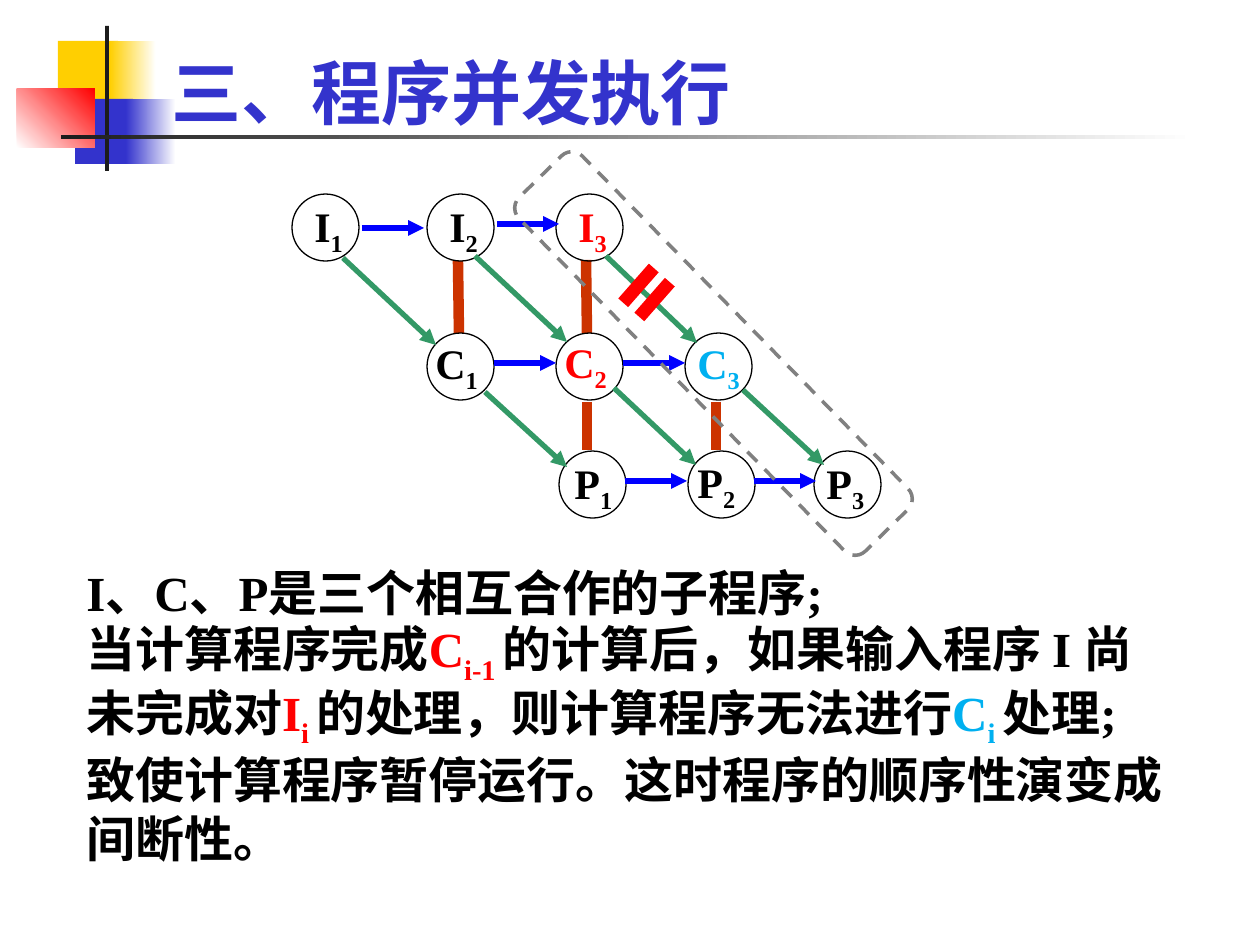
from lxml import etree
from pptx import Presentation
from pptx import util as u
from pptx.dml.color import RGBColor
from pptx.enum import dml, shapes, text
from pptx.oxml import ns

PX = 914400 / 126
CJK, SERIF = "Noto Sans CJK SC", "Times New Roman"
BLACK, RED, CYAN, YELLOW, INDIGO = "000000", "FF0000", "00B0F0", "FFCF01", "3333CC"
BLUE, GREEN, RUST, INK, WHITE = "0000FF", "339966", "CC3300", "1C1C1C", "FFFFFF"
DIAMETER = 67

# Label, colour, circle left and top, label offset from the circle
NODES = [
    ("I1", BLACK, 292, 194, 10, 0),
    ("I2", BLACK, 427, 194, 10, 0),
    ("I3", RED, 556, 194, 10, 0),
    ("C1", BLACK, 427, 333, -4, -2),
    ("C2", RED, 556, 333, -4, -3),
    ("C3", CYAN, 685, 333, 0, -2),
    ("P1", BLACK, 559, 451, 3, 0),
    ("P2", BLACK, 688, 451, -3, -1),
    ("P3", BLACK, 814, 451, 0, 0),
]
# Start of each horizontal arrow; all have one length
NEXT_ARROWS = [(362, 228), (497, 224), (494, 363), (623, 363), (625, 481), (754, 481)]
NEXT_LENGTH = 62
STAGE_ARROWS = [
    (343, 258, 436, 345), (475, 256, 567, 342), (606, 256, 697, 343),
    (485, 392, 567, 467), (614, 388, 696, 465), (743, 390, 824, 465),
]
WAIT_BARS = [(458, 261, 459, 333), (586, 260, 587, 333),
             (587, 402, 587, 450), (716, 402, 716, 450)]


def px(length):
    return u.Emu(round(length * PX))


def rgb(value):
    return RGBColor.from_string(value)


def add_shape(page, kind, left, top, width, height, fill=None, line=None, weight=1.0):
    shape = page.shapes.add_shape(kind, px(left), px(top), px(width), px(height))
    shape.shadow.inherit = False
    if fill:
        shape.fill.solid()
        shape.fill.fore_color.rgb = rgb(fill)
    else:
        shape.fill.background()
    if line:
        shape.line.color.rgb = rgb(line)
        shape.line.width = u.Pt(weight)
    else:
        shape.line.fill.background()
    return shape


def add_fade(page, left, top, width, height, start, end, angle=0):
    shape = add_shape(page, shapes.MSO_SHAPE.RECTANGLE, left, top, width, height)
    shape.fill.gradient()
    shape.fill.gradient_angle = angle
    for stop, color, position in zip(shape.fill.gradient_stops, (start, end), (0, 1)):
        stop.color.rgb = rgb(color)
        stop.position = position


def add_line(page, x1, y1, x2, y2, color, weight, arrow=False):
    line = page.shapes.add_connector(shapes.MSO_CONNECTOR.STRAIGHT,
                                     px(x1), px(y1), px(x2), px(y2))
    line.line.color.rgb = rgb(color)
    line.line.width = u.Pt(weight)
    if arrow:
        outline = line.line._get_or_add_ln()
        etree.SubElement(outline, ns.qn("a:tailEnd"), type="triangle")
    etree.SubElement(line._element.spPr, ns.qn("a:effectLst"))


def add_box(page, left, top, width, height):
    box = page.shapes.add_textbox(px(left), px(top), px(width), px(height))
    box.text_frame.word_wrap = True
    return box.text_frame


def add_span(para, content, size, color=BLACK, font=SERIF, lowered=False):
    span = para.add_run()
    span.text = content
    span.font.size = u.Pt(size)
    span.font.bold = True
    span.font.name = font
    span.font.color.rgb = rgb(color)
    props = span.font._element
    props.find(ns.qn("a:latin")).addnext(
        etree.Element(ns.qn("a:ea"), typeface=CJK))
    if lowered:
        props.set("baseline", "-25000")


def add_node(page, label, color, left, top, dx, dy):
    add_shape(page, shapes.MSO_SHAPE.OVAL, left, top, DIAMETER, DIAMETER,
              line=BLACK, weight=0.75)
    para = add_box(page, left + dx, top + dy, 83, 71).paragraphs[0]
    add_span(para, label[0], 24, color)
    add_span(para, label[1], 24, color, lowered=True)


def add_decoration(page):
    square = shapes.MSO_SHAPE.RECTANGLE
    add_shape(page, square, 58, 41, 60, 65, YELLOW)
    add_fade(page, 110, 41, 46, 65, YELLOW, WHITE)
    add_shape(page, square, 75, 99, 58, 65, INDIGO)
    add_fade(page, 126, 99, 50, 65, INDIGO, WHITE)
    add_fade(page, 17, 89, 78, 59, WHITE, RED, angle=45)
    add_shape(page, square, 105, 26, 4, 145, INK)
    add_fade(page, 61, 135, 1134, 4, INK, WHITE)


def add_title(page):
    frame = add_box(page, 159, 52, 878, 88)
    frame.vertical_anchor = text.MSO_ANCHOR.BOTTOM
    add_span(frame.paragraphs[0], "三、程序并发执行", 40, INDIGO, CJK)


def add_diagram(page):
    for bar in WAIT_BARS:
        add_line(page, *bar, RUST, 6)
    for node in NODES:
        add_node(page, *node)
    for x, y in NEXT_ARROWS:
        add_line(page, x, y, x + NEXT_LENGTH, y, BLUE, 3, arrow=True)
    for arrow in STAGE_ARROWS:
        add_line(page, *arrow, GREEN, 3, arrow=True)

    # Dashed frame round the third job, and the break mark on its path
    frame = add_shape(page, shapes.MSO_SHAPE.ROUNDED_RECTANGLE, 466, 309, 495, 89,
                      line="808080", weight=2)
    frame.line.dash_style = dml.MSO_LINE.DASH
    frame.rotation = 225.6
    mark = add_shape(page, shapes.MSO_SHAPE.MATH_EQUAL, 615, 257, 63, 71, RED)
    mark.adjustments[0] = 0.184
    mark.adjustments[1] = 0.118
    mark.rotation = 131.3


def add_explanation(page):
    # Each paragraph: line height in points, then (content, colour, lowered)
    paragraphs = [
        (33.5, [("I、C、P是三个相互合作的子程序;", BLACK, False)]),
        (36.5, [
            ("当计算程序完成", BLACK, False),
            ("C", RED, False), ("i-1 ", RED, True),
            ("的计算后，如果输入程序 I 尚未完成对", BLACK, False),
            ("I", RED, False), ("i ", RED, True),
            ("的处理，则计算程序无法进行", BLACK, False),
            ("C", CYAN, False), ("i ", CYAN, True),
            ("处理;", BLACK, False),
        ]),
        (33.5, [("致使计算程序暂停运行。这时程序的顺序性演变成间断性。", BLACK, False)]),
    ]
    frame = add_box(page, 74, 557, 1111, 310)
    for index, (height, spans) in enumerate(paragraphs):
        para = frame.add_paragraph() if index else frame.paragraphs[0]
        para.line_spacing = u.Pt(height)
        for content, color, lowered in spans:
            add_span(para, content, 28, color, lowered=lowered)


def main():
    deck = Presentation()
    deck.slide_width, deck.slide_height = px(1260), px(945)
    page = deck.slides.add_slide(deck.slide_layouts[6])
    add_decoration(page)
    add_title(page)
    add_diagram(page)
    add_explanation(page)
    deck.save("out.pptx")


if __name__ == "__main__":
    main()
